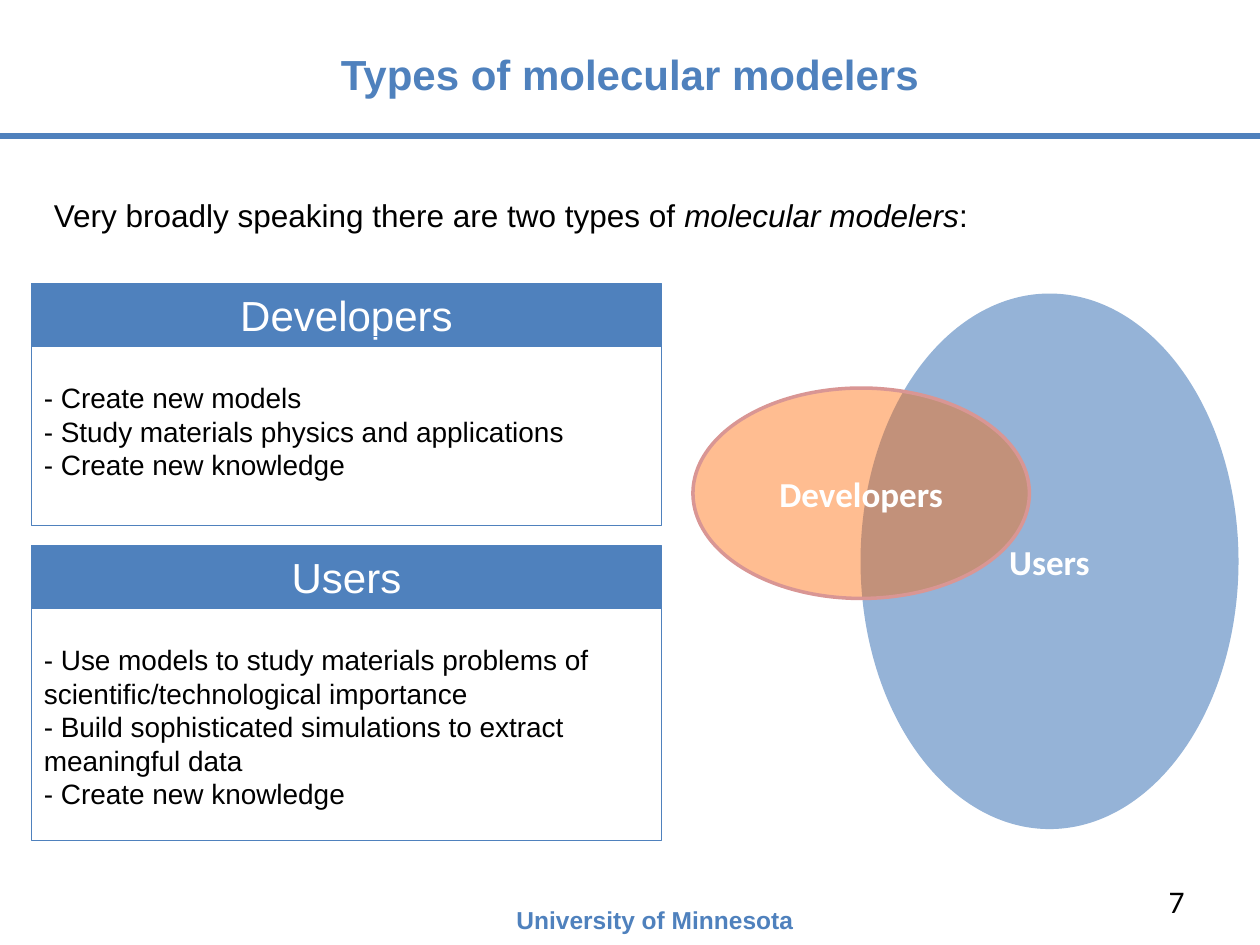
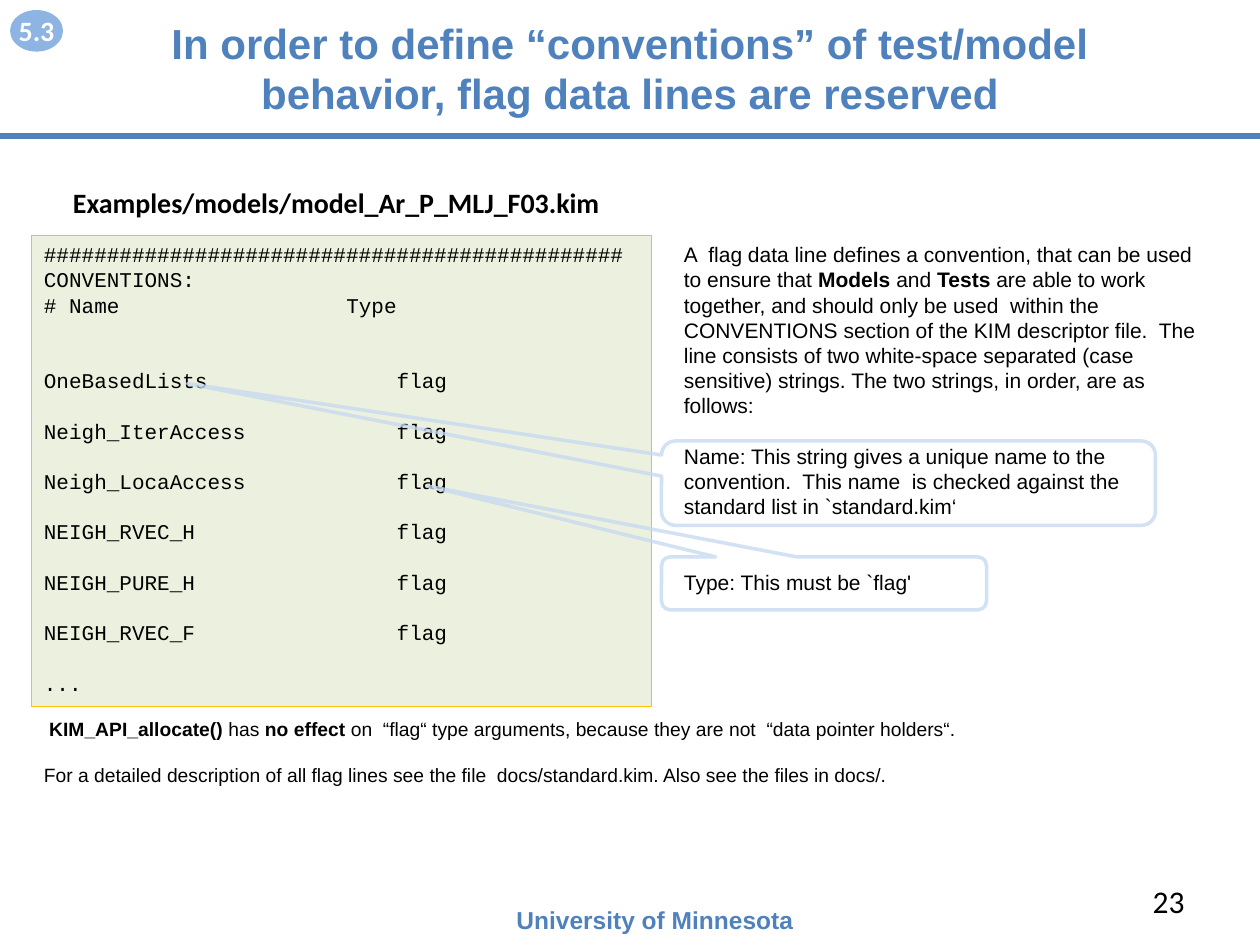
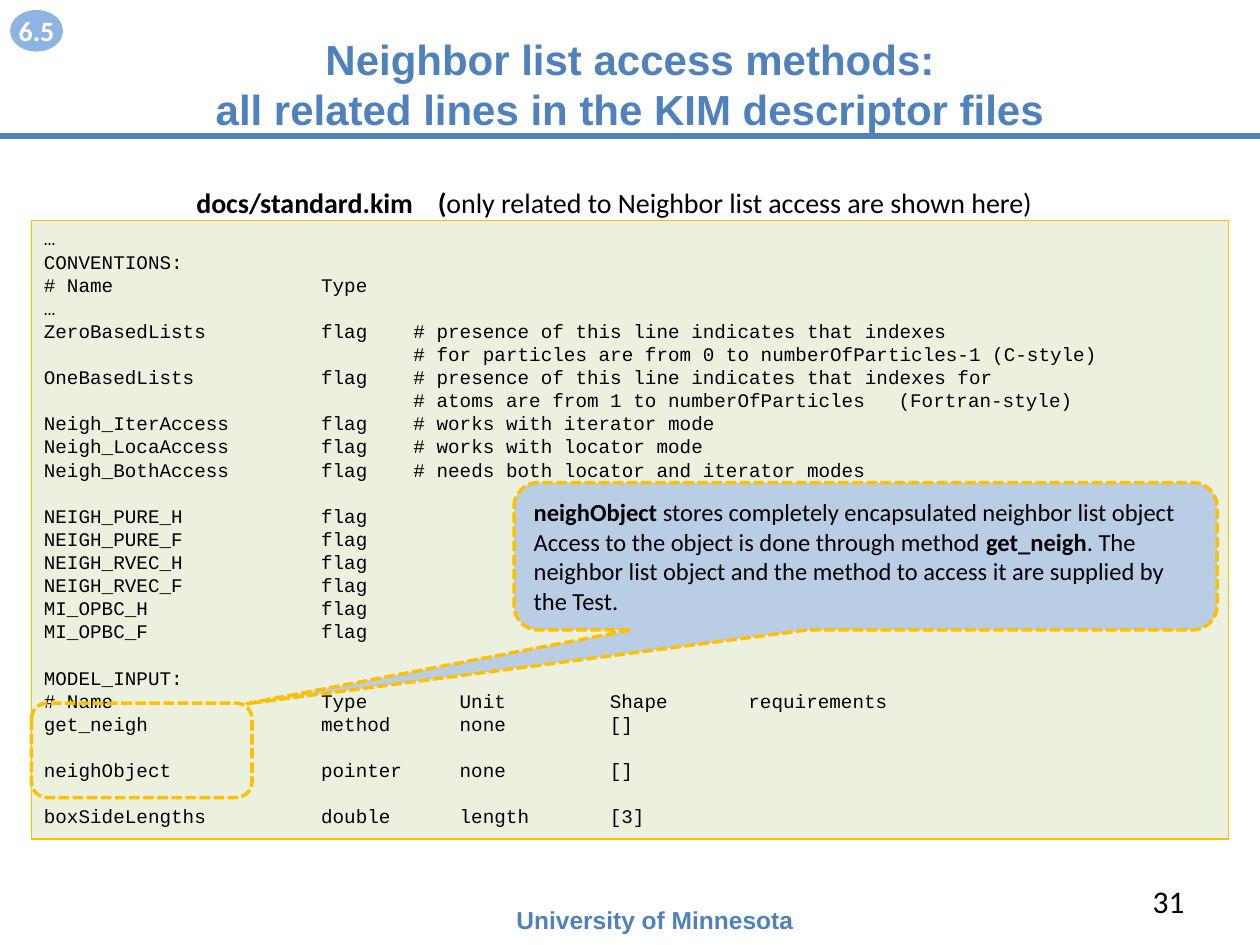
from collections import namedtuple
from dataclasses import dataclass

from lxml import etree
from pptx import Presentation
from pptx.dml.color import RGBColor
from pptx.enum.dml import MSO_LINE
from pptx.enum.shapes import MSO_CONNECTOR, MSO_SHAPE
from pptx.enum.text import MSO_ANCHOR, PP_ALIGN
from pptx.oxml.ns import qn
from pptx.util import Inches, Pt

RECT, OVAL, ROUNDED = MSO_SHAPE.RECTANGLE, MSO_SHAPE.OVAL, MSO_SHAPE.ROUNDED_RECTANGLE
CALLOUT = MSO_SHAPE.ROUNDED_RECTANGULAR_CALLOUT
LEFT, CENTER, RIGHT = PP_ALIGN.LEFT, PP_ALIGN.CENTER, PP_ALIGN.RIGHT
TOP, MIDDLE = MSO_ANCHOR.TOP, MSO_ANCHOR.MIDDLE
DASHED = MSO_LINE.SQUARE_DOT


@dataclass(frozen=True)
class Theme:
    # Colours
    blue: str = "4F81BD"
    black: str = "000000"
    white: str = "FFFFFF"
    users: str = "95B3D7"
    developers: str = "FF6600"
    developers_edge: str = "D99694"
    code_fill: str = "EBF1DE"
    gold: str = "FFC000"
    pale_blue: str = "C6D9F1"
    note_fill: str = "B9CDE5"
    badge: str = "8EB4E3"
    # Fonts
    sans: str = "Arial"
    label: str = "Calibri"
    mono: str = "Courier New"
    # Type sizes
    title: int = 24
    lead: int = 18
    venn: int = 20
    body: int = 16
    small: int = 14
    detail: int = 12
    fine: int = 11
    leading: float = 1.2


THEME = Theme()

# Content: *stars* mark emphasis, gap counts the lines left free above
Para = namedtuple("Para", "text gap stops", defaults=(0, ()))

ORGANISATION = "University of Minnesota"

MODELERS_INTRO = "Very broadly speaking there are two types of *molecular modelers*:"
MODELER_CARDS = [  # heading, top, body height, items
    ("Developers", 2.25, 1.5, [
        "- Create new models",
        "- Study materials physics and applications",
        "- Create new knowledge"]),
    ("Users", 4.33, 1.92, [
        "- Use models to study materials problems of scientific/technological importance",
        "- Build sophisticated simulations to extract meaningful data",
        "- Create new knowledge"]),
]

FLAG_FILE = "*Examples/models/model_Ar_P_MLJ_F03.kim*"
FLAG_NAMES = ["OneBasedLists", "Neigh_IterAccess", "Neigh_LocaAccess",
              "NEIGH_RVEC_H", "NEIGH_PURE_H", "NEIGH_RVEC_F"]
FLAG_CODE = [
    Para("#" * 46),
    Para("CONVENTIONS:"),
    Para("# Name\tType", 0, (24,)),
    *[Para(f"{name}\tflag", 1 if i else 2, (28,)) for i, name in enumerate(FLAG_NAMES)],
    Para("...", 1),
]
FLAG_EXPLANATION = [
    Para("A  flag data line defines a convention, that can be used to ensure that *Models* "
         "and *Tests* are able to work together, and should only be used  within the "
         "CONVENTIONS section of the KIM descriptor file.  The line consists of two "
         "white-space separated (case sensitive) strings. The two strings, in order, "
         "are as follows:"),
    Para("Name: This string gives a unique name to the convention.  This name  is checked "
         "against the standard list in `standard.kim‘", 1),
    Para("Type: This must be `flag'", 2),
]
FLAG_CALLOUTS = [  # box, pointer
    ((5.25, 4.42, 2.58, 0.42), (-1.22, -1.84)),
    ((5.25, 3.5, 3.92, 0.67), (-1.46, -1.18)),
]
FLAG_REMARKS = [
    Para(" *KIM_API_allocate()* has *no effect* on  “flag“ type arguments, "
         "because they are not  “data pointer holders“."),
    Para("For a detailed description of all flag lines see the file  docs/standard.kim. "
         "Also see the files in docs/.", 1),
]

NEIGHBOR_FILE = "*docs/standard.kim\t(*only related to Neighbor list access are shown here)"
CONVENTION_STOPS, INPUT_STOPS = (24, 32, 74), (24, 36, 49, 61)
CONVENTION_ROWS = [
    "…",
    "CONVENTIONS:",
    "# Name\tType",
    "…",
    "ZeroBasedLists\tflag\t# presence of this line indicates that indexes",
    "\t\t# for particles are from 0 to numberOfParticles-1 (C-style)",
    "OneBasedLists\tflag\t# presence of this line indicates that indexes for",
    "\t\t# atoms are from 1 to numberOfParticles\t(Fortran-style)",
    "Neigh_IterAccess\tflag\t# works with iterator mode",
    "Neigh_LocaAccess\tflag\t# works with locator mode",
    "Neigh_BothAccess\tflag\t# needs both locator and iterator modes",
]
METHOD_NAMES = ["NEIGH_PURE_H", "NEIGH_PURE_F", "NEIGH_RVEC_H",
                "NEIGH_RVEC_F", "MI_OPBC_H", "MI_OPBC_F"]
INPUT_ROWS = [  # row, free lines above
    ("MODEL_INPUT:", 1),
    ("# Name\tType\tUnit\tShape\trequirements", 0),
    ("get_neigh\tmethod\tnone\t[]", 0),
    ("neighObject\tpointer\tnone\t[]", 1),
    ("boxSideLengths\tdouble\tlength\t[3]", 1),
]
NEIGHBOR_CODE = [
    *[Para(row, 0, CONVENTION_STOPS) for row in CONVENTION_ROWS],
    *[Para(f"{name}\tflag", 0 if i else 1, CONVENTION_STOPS)
      for i, name in enumerate(METHOD_NAMES)],
    *[Para(row, gap, INPUT_STOPS) for row, gap in INPUT_ROWS],
]
NEIGHBOR_NOTE = [
    Para("*neighObject* stores completely encapsulated neighbor list object"),
    Para("Access to the object is done through method *get_neigh*. The neighbor list object "
         "and the method to access it are supplied by the Test."),
]


# Helpers
def rgb(value):
    return RGBColor.from_string(value)


def inches(box):
    return [Inches(length) for length in box]


def set_opacity(parent, percent):
    color = parent.find(".//" + qn("a:srgbClr"))
    etree.SubElement(color, qn("a:alpha"), val=str(percent * 1000))


def set_tabs(paragraph, positions):
    """Add left tab stops, given in points."""
    tabs = etree.SubElement(paragraph._p.get_or_add_pPr(), qn("a:tabLst"))
    for position in positions:
        etree.SubElement(tabs, qn("a:tab"), pos=str(Pt(position)), algn="l")


def write(frame, paras, size, font=THEME.sans, color=THEME.black, align=LEFT,
          anchor=TOP, bold=False, italic_marks=False):
    frame.word_wrap = True
    frame.vertical_anchor = anchor
    line = size * THEME.leading
    for index, para in enumerate(paras):
        paragraph = frame.add_paragraph() if index else frame.paragraphs[0]
        paragraph.alignment = align
        paragraph.line_spacing = Pt(line)
        paragraph.space_before = Pt(para.gap * line)
        if para.stops:
            # A monospaced character is 0.6 of the type size wide
            set_tabs(paragraph, [column * 0.6 * size for column in para.stops])
        for part, text in enumerate(para.text.split("*")):
            if not text:
                continue
            marked = part % 2 == 1
            for row, words in enumerate(text.split("\n")):
                if row:
                    paragraph.add_line_break()
                run = paragraph.add_run()
                run.text = words
                run.font.size = Pt(size)
                run.font.name = font
                run.font.color.rgb = rgb(color)
                run.font.bold = bold or (marked and not italic_marks)
                run.font.italic = marked and italic_marks


def add_text(slide, box, paras, size, **style):
    frame = slide.shapes.add_textbox(*inches(box)).text_frame
    write(frame, paras, size, **style)
    return frame


def add_box(slide, kind, box, fill=None, edge=None, width=0.75, dash=None):
    shape = slide.shapes.add_shape(kind, *inches(box))
    shape.shadow.inherit = False
    if fill:
        shape.fill.solid()
        shape.fill.fore_color.rgb = rgb(fill)
    else:
        shape.fill.background()
    if edge:
        shape.line.color.rgb = rgb(edge)
        shape.line.width = Pt(width)
        if dash:
            shape.line.dash_style = dash
    else:
        shape.line.fill.background()
    return shape


def point_callout(callout, pointer):
    callout.adjustments[0], callout.adjustments[1] = pointer


def add_code(slide, box, paras, size):
    code = add_box(slide, RECT, box, THEME.code_fill, THEME.gold)
    write(code.text_frame, paras, size, font=THEME.mono)


def add_badge(slide, number):
    badge = add_box(slide, OVAL, (0.08, 0.08, 0.42, 0.33), THEME.badge)
    frame = badge.text_frame
    frame.margin_left = frame.margin_right = 0
    write(frame, [Para(number)], THEME.body, font=THEME.label, color=THEME.white,
          align=CENTER, anchor=MIDDLE, bold=True)
    frame.word_wrap = False


def add_slide(deck, title, page, title_top=0.25):
    """Start a slide with its title, rule, footer and page number."""
    slide = deck.slides.add_slide(deck.slide_layouts[5])
    heading = slide.shapes.title
    heading.left, heading.top, heading.width, heading.height = inches((0.5, title_top, 9, 0.67))
    write(heading.text_frame, [Para(title)], THEME.title, color=THEME.blue,
          align=CENTER, anchor=MIDDLE, bold=True)

    rule = slide.shapes.add_connector(MSO_CONNECTOR.STRAIGHT, *inches((0, 1.08, 10, 1.08)))
    rule.line.color.rgb = rgb(THEME.blue)
    rule.line.width = Pt(3)
    etree.SubElement(rule._element.spPr, qn("a:effectLst"))

    add_text(slide, (4, 7.13, 2.67, 0.34), [Para(ORGANISATION)], THEME.small,
             color=THEME.blue, bold=True)
    add_text(slide, (7.17, 6.95, 2.33, 0.4), [Para(str(page))], THEME.lead,
             font=THEME.label, align=RIGHT, anchor=MIDDLE)
    return slide


# Slides
def build_modelers(deck):
    slide = add_slide(deck, "Types of molecular modelers", 7)
    add_text(slide, (0.33, 1.51, 8.17, 0.4), [Para(MODELERS_INTRO)], THEME.lead,
             italic_marks=True)

    for heading, top, height, items in MODELER_CARDS:
        band = add_box(slide, RECT, (0.25, top, 5, 0.5), THEME.blue, THEME.blue)
        write(band.text_frame, [Para(heading)], THEME.title, color=THEME.white, align=CENTER)
        card = add_box(slide, RECT, (0.25, top + 0.42, 5, height), edge=THEME.blue)
        card.text_frame.margin_top = Inches(0.35)
        write(card.text_frame, [Para(item) for item in items], THEME.body)

    # Overlapping groups
    users = add_box(slide, OVAL, (6.83, 2.33, 3, 4.25), THEME.users)
    developers = add_box(slide, OVAL, (5.5, 3.08, 2.67, 1.67), THEME.developers,
                         THEME.developers_edge, 2)
    set_opacity(developers._element.spPr.find(qn("a:solidFill")), 43)
    for group, name in ((users, "Users"), (developers, "Developers")):
        write(group.text_frame, [Para(name)], THEME.venn, font=THEME.label,
              color=THEME.white, align=CENTER, anchor=MIDDLE, bold=True)


def build_flags(deck):
    slide = add_slide(deck, "In order to define “conventions” of test/model behavior, "
                      "flag data lines are reserved", 23, title_top=0.2)
    add_code(slide, (0.25, 1.87, 4.92, 3.74), FLAG_CODE, THEME.detail)
    add_text(slide, (5.33, 1.87, 4.33, 2.93), FLAG_EXPLANATION, THEME.detail)

    for box, pointer in FLAG_CALLOUTS:
        callout = add_box(slide, CALLOUT, box, edge=THEME.pale_blue, width=2)
        set_opacity(callout._element.spPr.find(qn("a:ln")), 77)
        point_callout(callout, pointer)

    add_text(slide, (0.25, 5.64, 9.17, 1.03), FLAG_REMARKS, THEME.fine)
    add_badge(slide, "5.3")
    add_text(slide, (0.17, 1.42, 5, 0.37), [Para(FLAG_FILE)], THEME.body,
             font=THEME.label, align=CENTER)


def build_neighbors(deck):
    slide = add_slide(deck, "Neighbor list access methods:\n"
                      "all related lines in the KIM descriptor files", 31, title_top=0.33)
    add_code(slide, (0.25, 1.75, 9.5, 4.91), NEIGHBOR_CODE, THEME.fine)
    caption = add_text(slide, (1.46, 1.42, 7.5, 0.37), [Para(NEIGHBOR_FILE)], THEME.body,
                       font=THEME.label)
    set_tabs(caption.paragraphs[0], [138])

    note = add_box(slide, CALLOUT, (4.08, 3.83, 5.58, 1.17), THEME.note_fill,
                   THEME.gold, 2, DASHED)
    point_callout(note, (-0.88, 1))
    write(note.text_frame, NEIGHBOR_NOTE, THEME.small, font=THEME.label, anchor=MIDDLE)
    add_box(slide, ROUNDED, (0.25, 5.58, 1.75, 0.75), edge=THEME.gold, width=2, dash=DASHED)
    add_badge(slide, "6.5")


def main():
    deck = Presentation()
    deck.slide_width, deck.slide_height = Inches(10), Inches(7.5)
    build_modelers(deck)
    build_flags(deck)
    build_neighbors(deck)
    deck.save("out.pptx")


if __name__ == "__main__":
    main()
